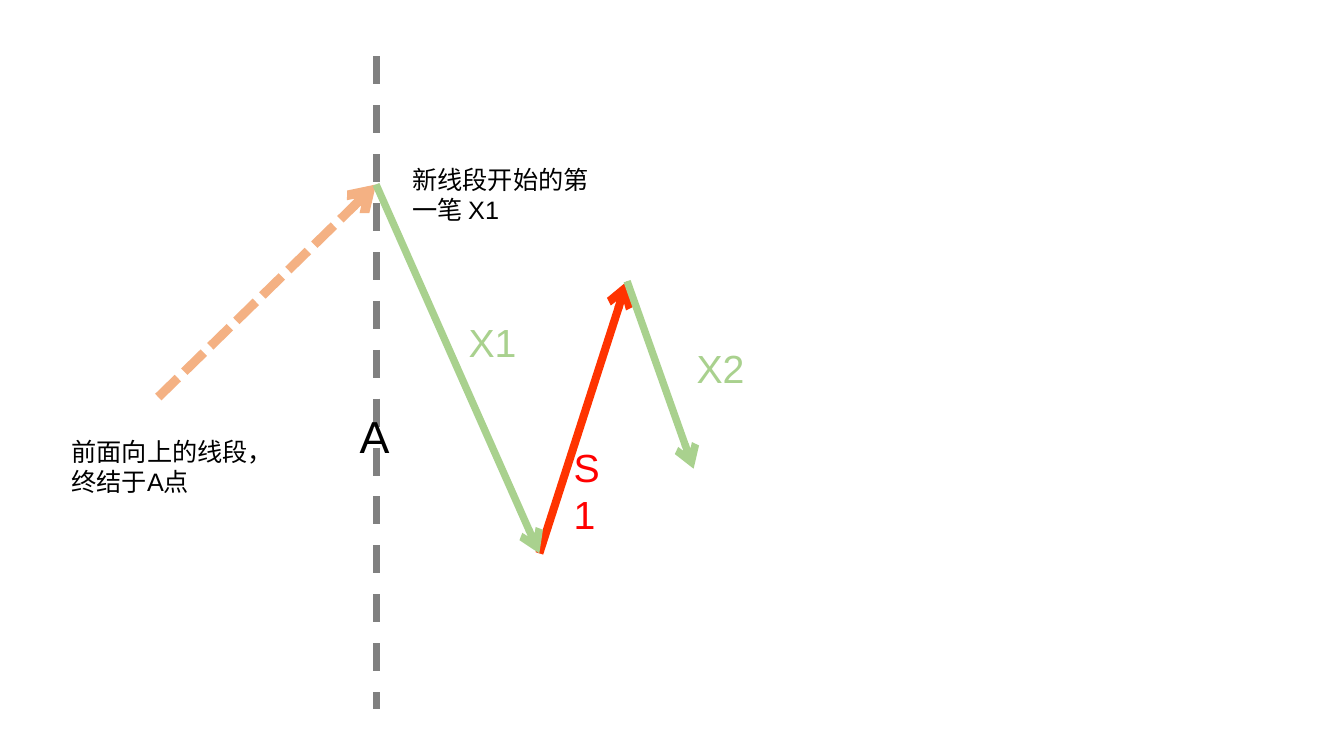
from dataclasses import dataclass

from pptx import Presentation
from pptx.dml.color import RGBColor
from pptx.enum.dml import MSO_LINE_DASH_STYLE as Dash
from pptx.enum.shapes import MSO_CONNECTOR_TYPE as ConnectorType
from pptx.enum.text import MSO_AUTO_SIZE as AutoSize
from pptx.oxml.ns import qn
from pptx.util import Inches, Pt
from lxml.etree import SubElement

FONT = "Arial"
COLORS = {
    "text": "000000",
    "previous": "F4B183",
    "divider": "808080",
    "down": "A9D18E",
    "up": "FF3300",
    "up_label": "FF0000",
}
POINT_A = (27.98, 24.4)
LOW = (40.13, 73.2)
HIGH = (46.66, 37.2)


@dataclass
class Box:
    """Area whose inner positions are given in percent of its size."""
    left: int
    top: int
    width: int
    height: int

    def x(self, share):
        """Return the horizontal position at a share of the width."""
        return self.left + round(self.width * share / 100)

    def y(self, share):
        """Return the vertical position at a share of the height."""
        return self.top + round(self.height * share / 100)


def add_line(slide, box, start, end, color, weight, dash=None, arrow=True):
    """Draw a straight stroke between two points of the box."""
    connector = slide.shapes.add_connector(
        ConnectorType.STRAIGHT,
        box.x(start[0]), box.y(start[1]), box.x(end[0]), box.y(end[1]))
    line = connector.line
    line.color.rgb = RGBColor.from_string(COLORS[color])
    line.width = Pt(weight)
    if dash is not None:
        line.dash_style = dash
    properties = connector._element.spPr
    if arrow:
        SubElement(properties.find(qn("a:ln")), qn("a:tailEnd"), type="arrow")
    SubElement(properties, qn("a:effectLst"))


def add_label(slide, box, place, text, size, color="text", wrap=True):
    """Write a text at a left, top, width and height of the box."""
    left, top, width, height = place
    shape = slide.shapes.add_textbox(
        box.x(left), box.y(top),
        round(box.width * width / 100), round(box.height * height / 100))
    frame = shape.text_frame
    frame.word_wrap = wrap
    frame.auto_size = AutoSize.SHAPE_TO_FIT_TEXT
    run = frame.paragraphs[0].add_run()
    run.text = text
    run.font.name = FONT
    run.font.size = Pt(size)
    run.font.color.rgb = RGBColor.from_string(COLORS[color])


def add_previous_segment(slide, box):
    """Draw the rising segment that ends at point A, with its note."""
    add_line(slide, box, (11.78, 52.53), POINT_A, "previous", 6.5,
             Dash.SQUARE_DOT)
    add_label(slide, box, (4.58, 57.07, 17.93, 9.47),
              "前面向上的线段，终结于A点", 18)


def add_divider(slide, box):
    """Draw the vertical dashed line through point A."""
    add_line(slide, box, (POINT_A[0], 7.47), (POINT_A[0], 93.73), "divider", 5,
             Dash.DASH, arrow=False)
    add_label(slide, box, (26.03, 53.47, 3.9, 8.53), "A", 32, wrap=False)


def add_new_segment(slide, box):
    """Draw the three strokes after point A, with their labels."""
    add_line(slide, box, LOW, HIGH, "up", 5.75)
    add_line(slide, box, POINT_A, LOW, "down", 5.25)
    add_line(slide, box, HIGH, (51.61, 62), "down", 5.25)
    add_label(slide, box, (29.93, 21.07, 15, 9.47),
              "新线段开始的第一笔 X1", 18)
    for place, name, color in (
        ((41.94, 58, 4.73, 7.6), "S1", "up_label"),
        ((34.13, 41.47, 6.3, 7.6), "X1", "down"),
        ((51.09, 44.93, 6.3, 7.6), "X2", "down"),
    ):
        add_label(slide, box, place, name, 28, color)


def main():
    """Build the presentation and save it."""
    presentation = Presentation()
    presentation.slide_width = Inches(13.33)
    presentation.slide_height = Inches(7.5)
    slide = presentation.slides.add_slide(presentation.slide_layouts[6])
    box = Box(0, 0, presentation.slide_width, presentation.slide_height)
    add_previous_segment(slide, box)
    add_divider(slide, box)
    add_new_segment(slide, box)
    presentation.save("out.pptx")


if __name__ == "__main__":
    main()
